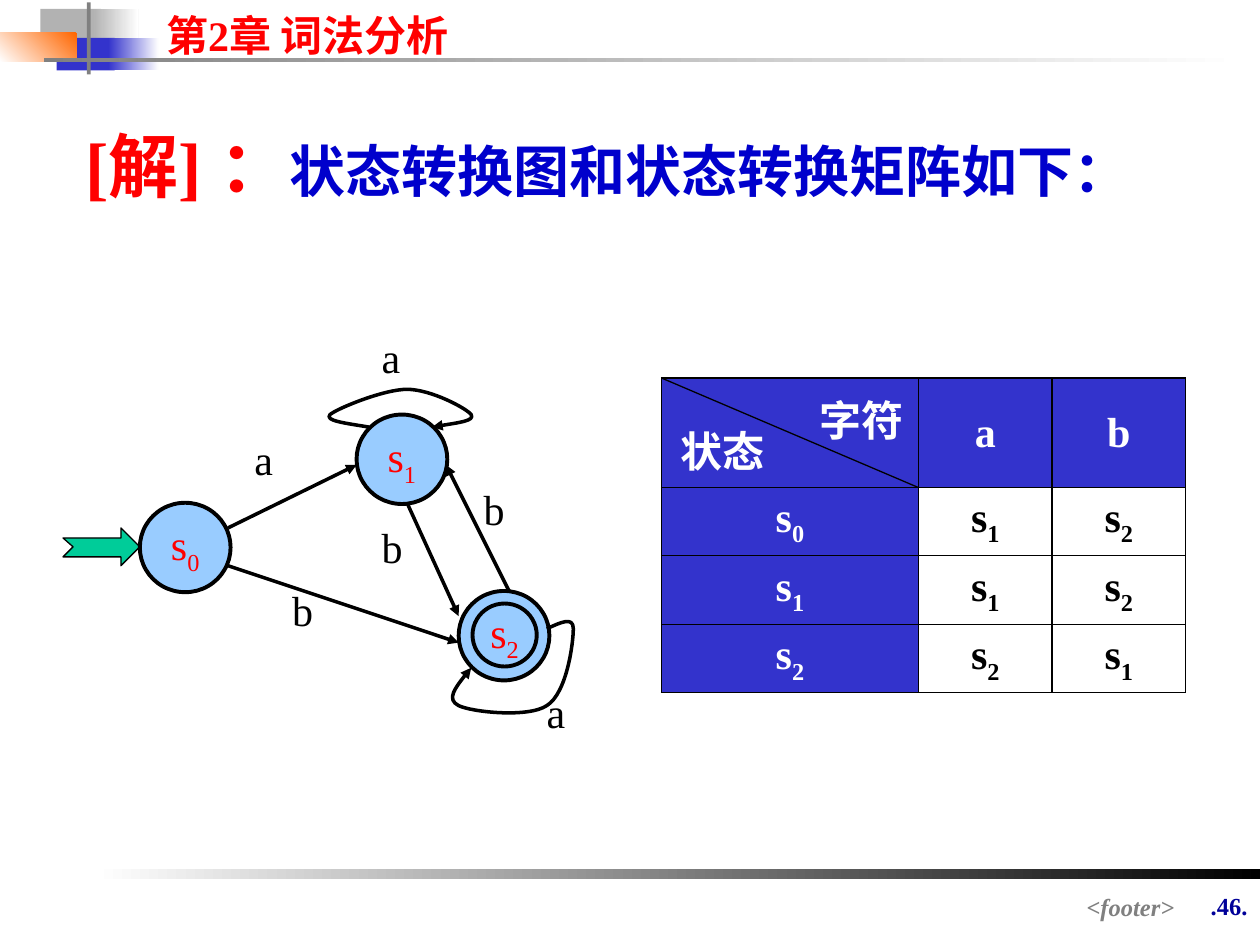
from lxml.etree import SubElement
from pptx import Presentation
from pptx.dml.color import RGBColor
from pptx.enum.shapes import MSO_CONNECTOR, MSO_SHAPE
from pptx.enum.text import MSO_ANCHOR, PP_ALIGN
from pptx.oxml.ns import qn
from pptx.util import Inches, Pt

BLACK = RGBColor(0x00, 0x00, 0x00)
WHITE = RGBColor(0xFF, 0xFF, 0xFF)
RED = RGBColor(0xFF, 0x00, 0x00)
BLUE = RGBColor(0x00, 0x00, 0xCC)
NAVY = RGBColor(0x00, 0x00, 0x99)
INDIGO = RGBColor(0x33, 0x33, 0xCC)
SKY = RGBColor(0x99, 0xCC, 0xFF)
TEAL = RGBColor(0x00, 0xCC, 0x99)
ORANGE = RGBColor(0xFF, 0x66, 0x00)
SILVER = RGBColor(0xB2, 0xB2, 0xB2)
GRAY = RGBColor(0x80, 0x80, 0x80)

prs = Presentation()
prs.slide_width, prs.slide_height = Inches(10), Inches(7.5)
slide = prs.slides.add_slide(prs.slide_layouts[6])
shapes = slide.shapes


def write(frame, runs, align=PP_ALIGN.LEFT, wrap=True):
    """Fill a text frame with (text, font values) runs; a "sub" value lowers the run."""
    frame.word_wrap = wrap
    paragraph = frame.paragraphs[0]
    paragraph.alignment = align
    for text, values in runs:
        run = paragraph.add_run()
        run.text = text
        run.font.name = "Times New Roman"
        for name, value in values.items():
            if name == "color":
                run.font.color.rgb = value
            elif name == "sub":
                run.font._element.set("baseline", "-25000")
            else:
                setattr(run.font, name, value)


def state_runs(label, **values):
    """Split a label such as s0 into its letter and its subscript."""
    values["size"] = Pt(24)
    runs = [(label[0], values)]
    if label[1:]:
        runs.append((label[1:], {**values, "sub": True}))
    return runs


# Header ornament and footer rule: one colour is solid, two fade along the angle
for left, top, width, height, colors, angle in [
    (0.32, 0.07, 0.48, 0.26, [SILVER], 0),
    (0.74, 0.07, 0.36, 0.26, [SILVER, WHITE], 0),
    (0.45, 0.3, 0.46, 0.26, [INDIGO], 0),
    (0.86, 0.3, 0.4, 0.26, [INDIGO, WHITE], 0),
    (0, 0.26, 0.61, 0.23, [ORANGE, WHITE], 225),
    (0.69, 0.02, 0.03, 0.57, [GRAY], 0),
    (0.35, 0.46, 9.51, 0.03, [GRAY, WHITE], 0),
    (0.75, 6.9, 9.25, 0.08, [WHITE, BLACK], 0),
]:
    bar = shapes.add_shape(MSO_SHAPE.RECTANGLE, Inches(left), Inches(top),
                           Inches(width), Inches(height))
    bar.shadow.inherit = False
    bar.line.fill.background()
    if len(colors) == 1:
        bar.fill.solid()
        bar.fill.fore_color.rgb = colors[0]
    else:
        bar.fill.gradient()
        bar.fill.gradient_angle = angle
        for position, (stop, color) in enumerate(zip(bar.fill.gradient_stops, colors)):
            stop.position = position
            stop.color.rgb = color

# Chapter title, page number, footer and heading
for left, top, width, height, align, runs in [
    (1.22, 0.03, 3.15, 0.5, PP_ALIGN.LEFT,
     [("第2章 词法分析", {"size": Pt(24), "bold": True, "color": RED})]),
    (9.33, 7.02, 0.67, 0.57, PP_ALIGN.RIGHT,
     [(".46.", {"size": Pt(14), "bold": True, "color": NAVY})]),
    (2.64, 7.03, 6.78, 0.26, PP_ALIGN.RIGHT,
     [("<footer>", {"size": Pt(14), "bold": True, "italic": True, "color": GRAY})]),
    (0.58, 0.92, 8.4, 0.77, PP_ALIGN.LEFT,
     [("[解] ：", {"size": Pt(40), "bold": True, "color": RED}),
      ("状态转换图和状态转换矩阵如下：", {"size": Pt(32), "bold": True, "color": BLUE})]),
]:
    box = shapes.add_textbox(Inches(left), Inches(top), Inches(width), Inches(height))
    write(box.text_frame, runs, align)

# Start arrow
start_points = [(0.96, 4.27), (0.96, 4.19), (1.11, 4.34), (0.96, 4.49),
                (0.96, 4.42), (0.5, 4.42), (0.58, 4.34)]
builder = shapes.build_freeform(Inches(0.5), Inches(4.27))
builder.add_line_segments([(Inches(x), Inches(y)) for x, y in start_points], close=True)
start = builder.convert_to_shape()
start.shadow.inherit = False
start.fill.solid()
start.fill.fore_color.rgb = TEAL
start.line.color.rgb = BLACK
start.line.width = Pt(0.75)

# States; the accepting one has a second ring
for left, top, width, height, label in [
    (3.64, 4.69, 0.72, 0.71, ""),
    (3.75, 4.79, 0.51, 0.5, "s2"),
    (1.11, 3.99, 0.72, 0.71, "s0"),
    (2.83, 3.29, 0.72, 0.71, "s1"),
]:
    state = shapes.add_shape(MSO_SHAPE.OVAL, Inches(left), Inches(top),
                             Inches(width), Inches(height))
    state.shadow.inherit = False
    state.fill.solid()
    state.fill.fore_color.rgb = SKY
    state.line.color.rgb = BLACK
    state.line.width = Pt(2.25)
    if label:
        state.text_frame.vertical_anchor = MSO_ANCHOR.MIDDLE
        write(state.text_frame, state_runs(label, color=RED), PP_ALIGN.CENTER, wrap=False)

# Transitions between states
transitions = []
for x1, y1, x2, y2 in [(1.81, 4.19, 2.83, 3.69), (1.81, 4.49, 3.64, 5.1),
                       (4.04, 4.69, 3.54, 3.69), (3.23, 3.99, 3.64, 4.89)]:
    transitions.append(shapes.add_connector(
        MSO_CONNECTOR.STRAIGHT, Inches(x1), Inches(y1), Inches(x2), Inches(y2)))

# Self loops: every three points after the first make one Bezier curve
for first, *points in [
    [(2.93, 3.39), (2.75, 3.36), (2.57, 3.34), (2.62, 3.29), (2.68, 3.24),
     (3.05, 3.09), (3.23, 3.09), (3.42, 3.09), (3.7, 3.24), (3.74, 3.29),
     (3.77, 3.34), (3.6, 3.36), (3.43, 3.39)],
    [(4.34, 4.99), (4.45, 4.94), (4.55, 4.89), (4.55, 4.99), (4.55, 5.1),
     (4.5, 5.5), (4.34, 5.6), (4.19, 5.7), (3.74, 5.65), (3.64, 5.6),
     (3.54, 5.55), (3.64, 5.42), (3.74, 5.3)],
]:
    builder = shapes.build_freeform(Inches(first[0]), Inches(first[1]))
    builder.add_line_segments([(Inches(x), Inches(y)) for x, y in points], close=False)
    loop = builder.convert_to_shape()
    loop.fill.background()
    outline = next(loop._element.iter(qn("a:path")))
    segments = outline.findall(qn("a:lnTo"))
    for i in range(0, len(segments), 3):
        curve = SubElement(outline, qn("a:cubicBezTo"))
        for segment in segments[i:i + 3]:
            curve.append(segment[0])
            outline.remove(segment)
    transitions.append(loop)

for transition in transitions:
    transition.line.color.rgb = BLACK
    transition.line.width = Pt(2)
    properties = transition._element.spPr
    SubElement(properties.find(qn("a:ln")), qn("a:tailEnd"), type="triangle")
    SubElement(properties, qn("a:effectLst"))

# Input characters on the transitions
for left, top, character in [(1.92, 3.39, "a"), (2.93, 2.58, "a"), (4.24, 5.4, "a"),
                             (2.22, 4.59, "b"), (3.74, 3.79, "b"), (2.93, 4.09, "b")]:
    box = shapes.add_textbox(Inches(left), Inches(top), Inches(0.51), Inches(0.5))
    write(box.text_frame, state_runs(character, color=BLACK))

# Transition matrix
rows = [["", "a", "b"], ["s0", "s1", "s2"], ["s1", "s1", "s2"], ["s2", "s2", "s1"]]
matrix = shapes.add_table(4, 3, Inches(5.25), Inches(3), Inches(4.16), Inches(2.5)).table
matrix.first_row = matrix.horz_banding = False
for column, width in zip(matrix.columns, [2.04, 1.06, 1.06]):
    column.width = Inches(width)
for row, height in zip(matrix.rows, [0.87, 0.54, 0.55, 0.54]):
    row.height = Inches(height)
for r, labels in enumerate(rows):
    for c, label in enumerate(labels):
        cell = matrix.cell(r, c)
        cell.vertical_anchor = MSO_ANCHOR.MIDDLE
        cell.margin_top = cell.margin_bottom = Inches(0.02)
        for side in ["lnL", "lnR", "lnT", "lnB"]:
            border = SubElement(cell._tc.get_or_add_tcPr(), qn("a:" + side), w=str(Pt(0.75)))
            SubElement(SubElement(border, qn("a:solidFill")), qn("a:srgbClr"), val=str(BLACK))
        is_header = r == 0 or c == 0
        if is_header:
            cell.fill.solid()
            cell.fill.fore_color.rgb = INDIGO
        else:
            cell.fill.background()
        if label:
            color = WHITE if is_header else BLACK
            write(cell.text_frame, state_runs(label, bold=True, color=color), PP_ALIGN.CENTER)

# Split corner cell; no right margin, so each label stays on one line
for left, top, label in [(6.41, 3.08, "字符"), (5.3, 3.33, "状态")]:
    box = shapes.add_textbox(Inches(left), Inches(top), Inches(0.86), Inches(0.5))
    box.text_frame.margin_right = 0
    write(box.text_frame, [(label, {"size": Pt(24), "bold": True, "color": WHITE})])
diagonal = shapes.add_connector(MSO_CONNECTOR.STRAIGHT, Inches(5.25), Inches(3),
                                Inches(7.29), Inches(3.87))
diagonal.line.color.rgb = BLACK
diagonal.line.width = Pt(0.75)
SubElement(diagonal._element.spPr, qn("a:effectLst"))

prs.save("out.pptx")
